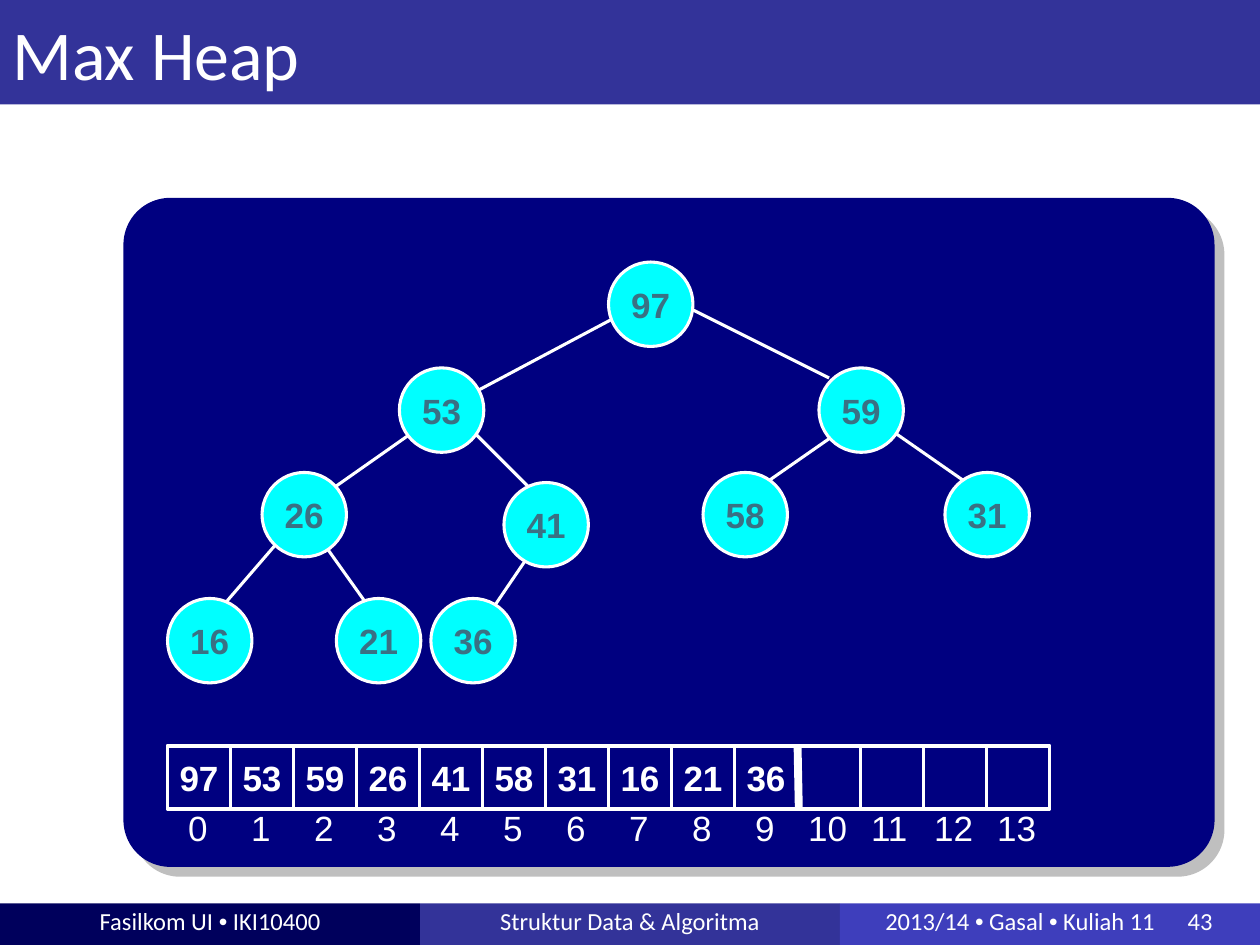
from lxml.etree import SubElement
from pptx import Presentation
from pptx.dml.color import RGBColor
from pptx.enum.shapes import MSO_CONNECTOR, MSO_SHAPE
from pptx.enum.text import MSO_ANCHOR, MSO_AUTO_SIZE, PP_ALIGN
from pptx.oxml.ns import qn
from pptx.util import Inches, Pt

WHITE = RGBColor(0xFF, 0xFF, 0xFF)
INDIGO = RGBColor(0x33, 0x33, 0x99)
MIDNIGHT = RGBColor(0x00, 0x00, 0x5C)
VIOLET = RGBColor(0x3E, 0x3E, 0xBC)
NAVY = RGBColor(0x00, 0x00, 0x80)
CYAN = RGBColor(0x00, 0xFF, 0xFF)
TEAL = RGBColor(0x3A, 0x71, 0x84)

HEAP = [97, 53, 59, 26, 41, 58, 31, 16, 21, 36]
NODE_CORNERS = [
    (4.83, 2.08), (3.17, 2.92), (6.5, 2.92), (2.08, 3.75), (4, 3.83),
    (5.58, 3.75), (7.5, 3.75), (1.33, 4.75), (2.67, 4.75), (3.42, 4.75),
]
EDGES = [
    (5.42, 2.42, 6.58, 3), (7.08, 3.42, 7.67, 3.83), (6.67, 3.42, 6.08, 3.83),
    (2.58, 4.33, 3, 4.92), (4.25, 4.33, 3.91, 4.83), (3.75, 3.42, 4.25, 3.92),
    (3.42, 3.33, 2.58, 3.92), (2.25, 4.25, 1.75, 4.83), (4.92, 2.5, 3.66, 3.17),
]
NODE_SIZE = 0.67
CELL_COUNT = 14
CELL_SIZE = 0.5
ARRAY_LEFT, ARRAY_TOP = 1.33, 5.92
FOOTERS = [
    ("Fasilkom UI • IKI10400", MIDNIGHT),
    ("Struktur Data & Algoritma", INDIGO),
    ("2013/14 • Gasal • Kuliah 11\t43", VIOLET),
]


def add_block(page, kind, left, top, width, height, fill=None, line_width=None):
    block = page.shapes.add_shape(
        kind, Inches(left), Inches(top), Inches(width), Inches(height))
    block.shadow.inherit = False
    if fill is None:
        block.fill.background()
    else:
        block.fill.solid()
        block.fill.fore_color.rgb = fill
    if line_width is None:
        block.line.fill.background()
    else:
        block.line.color.rgb = WHITE
        block.line.width = Pt(line_width)
    return block


def write(box, text, size, name="Arial", color=WHITE, bold=False,
          align=PP_ALIGN.CENTER, wrap=False):
    frame = box.text_frame
    frame.word_wrap = wrap
    paragraph = frame.paragraphs[0]
    paragraph.alignment = align
    font = paragraph.font
    font.size, font.name, font.bold = Pt(size), name, bold
    font.color.rgb = color
    for index, piece in enumerate(text.split("•")):
        if index:
            bullet = paragraph.add_run()
            bullet.text = "•"
            bullet.font.name = "Arial"
        span = paragraph.add_run()
        span.text = piece
    return paragraph


def add_line(page, x1, y1, x2, y2, width):
    line = page.shapes.add_connector(
        MSO_CONNECTOR.STRAIGHT, Inches(x1), Inches(y1), Inches(x2), Inches(y2))
    line.line.color.rgb = WHITE
    line.line.width = Pt(width)
    SubElement(line._element.spPr, qn("a:effectLst"))


def add_panel(page):
    panel = add_block(page, MSO_SHAPE.ROUNDED_RECTANGLE, 0.98, 1.57, 8.66, 5.31, NAVY)
    panel.adjustments[0] = 0.07
    effects = panel._element.spPr.find(qn("a:effectLst"))
    shadow = SubElement(effects, qn("a:outerShdw"), blurRad="0",
                        dist=str(Pt(8)), dir="2700000", rotWithShape="0")
    color = SubElement(shadow, qn("a:srgbClr"), val="808080")
    SubElement(color, qn("a:alpha"), val="50000")


def add_footers(page):
    width = 10 / len(FOOTERS)
    for index, (text, fill) in enumerate(FOOTERS):
        band = add_block(page, MSO_SHAPE.RECTANGLE, index * width, 7.17, width, 0.33, fill)
        band.text_frame.margin_top = 0
        paragraph = write(band, text, 14, "Calibri", wrap=True)
        if "\t" in text:
            band.text_frame.margin_left = Inches(0.36)
            paragraph.alignment = PP_ALIGN.LEFT
            stops = SubElement(paragraph._p.get_or_add_pPr(), qn("a:tabLst"))
            SubElement(stops, qn("a:tab"), pos=str(Inches(2.4)), algn="l")
            properties = paragraph._p.pPr
            properties.append(properties.find(qn("a:defRPr")))


def add_tree(page):
    for edge in EDGES:
        add_line(page, *edge, 1.75)
    for value, (left, top) in zip(HEAP, NODE_CORNERS):
        node = add_block(page, MSO_SHAPE.OVAL, left, top, NODE_SIZE, NODE_SIZE, CYAN, 1.75)
        write(node, str(value), 20, color=TEAL, bold=True)


def add_index(page, index, center):
    width = 0.35 if index < 10 else 0.51
    box = page.shapes.add_textbox(
        Inches(center - width / 2), Inches(6.35), Inches(width), Inches(0.44))
    write(box, str(index), 20, align=PP_ALIGN.LEFT)
    box.text_frame.auto_size = MSO_AUTO_SIZE.SHAPE_TO_FIT_TEXT


def add_array(page):
    for index in range(CELL_COUNT):
        left = ARRAY_LEFT + index * CELL_SIZE
        cell = add_block(page, MSO_SHAPE.RECTANGLE, left, ARRAY_TOP,
                         CELL_SIZE, CELL_SIZE, line_width=2.25)
        if index < len(HEAP):
            write(cell, str(HEAP[index]), 20, bold=True)
        add_index(page, index, left + CELL_SIZE / 2 - 0.01)
    end = ARRAY_LEFT + len(HEAP) * CELL_SIZE
    add_line(page, end, ARRAY_TOP, end + 0.01, ARRAY_TOP + CELL_SIZE, 4.5)


def add_title(page):
    banner = add_block(page, MSO_SHAPE.RECTANGLE, 0, 0, 10, 0.83, INDIGO)
    banner.text_frame.vertical_anchor = MSO_ANCHOR.MIDDLE
    write(banner, "Max Heap", 40, "Calibri", align=PP_ALIGN.LEFT, wrap=True)


def main():
    deck = Presentation()
    deck.slide_width, deck.slide_height = Inches(10), Inches(7.5)
    page = deck.slides.add_slide(deck.slide_layouts[6])
    add_footers(page)
    add_panel(page)
    add_tree(page)
    add_array(page)
    add_title(page)
    deck.save("out.pptx")


if __name__ == "__main__":
    main()
